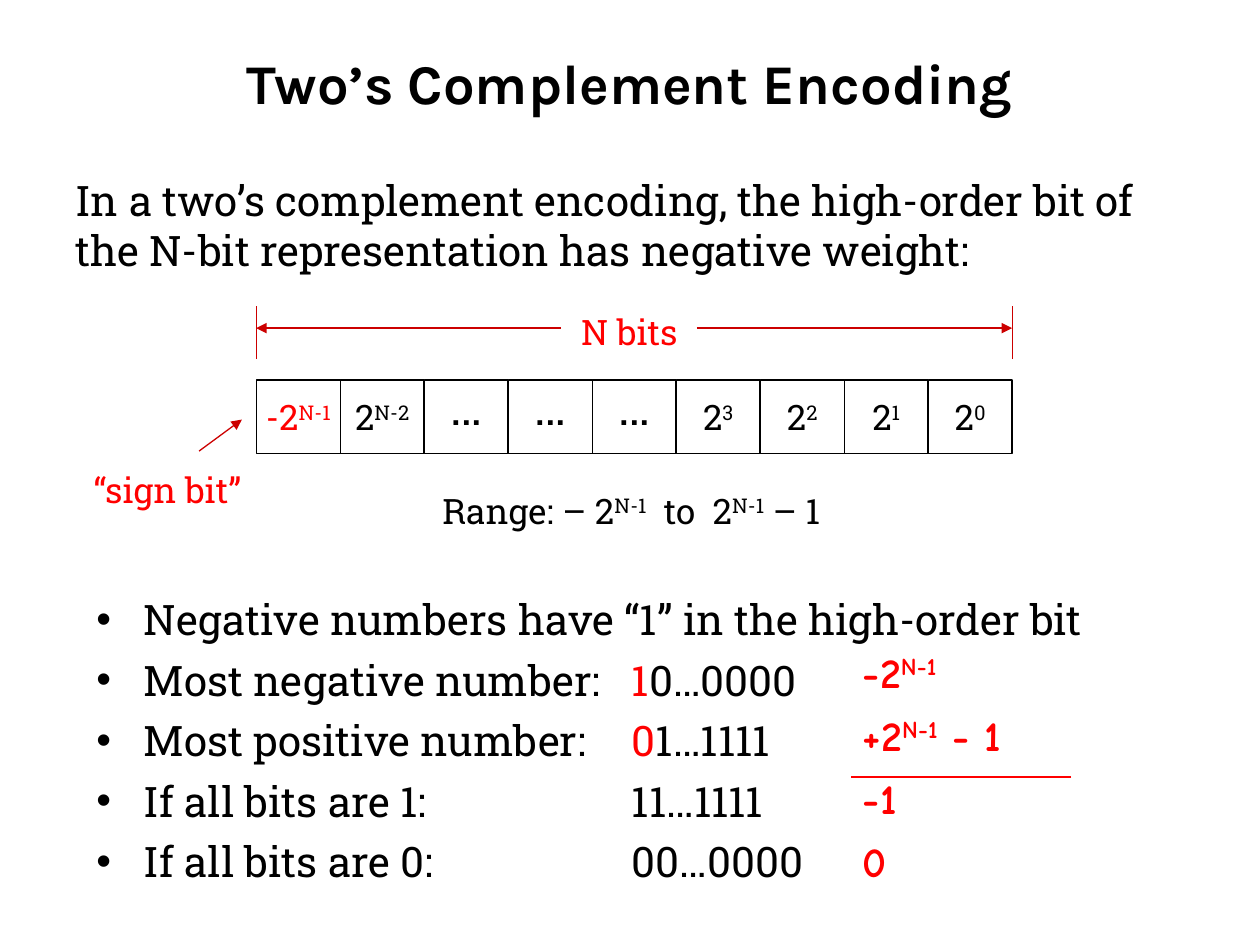
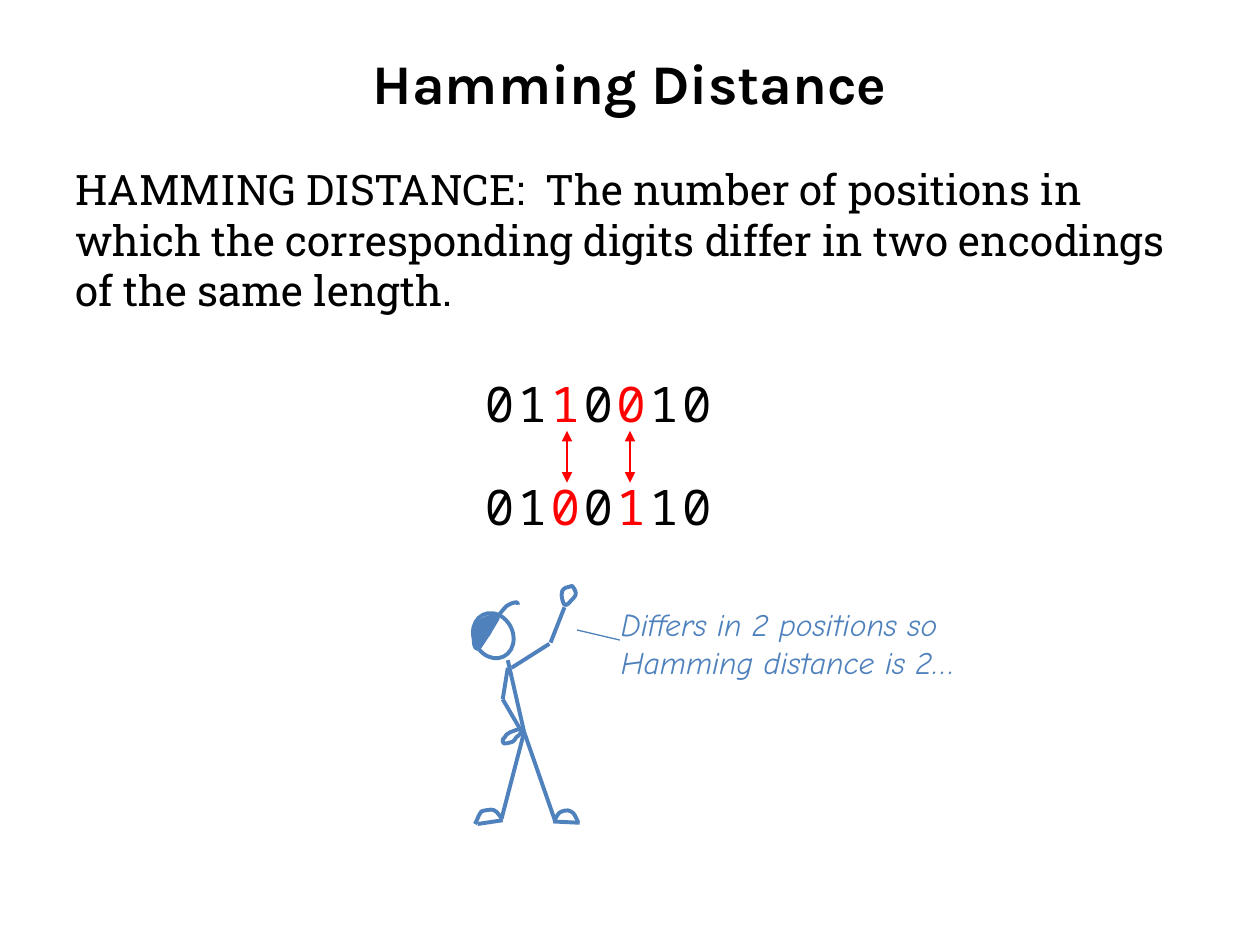
from dataclasses import dataclass
from itertools import groupby
from typing import NamedTuple, Optional

from lxml.etree import SubElement
from pptx import Presentation
from pptx.dml.color import RGBColor
from pptx.enum.shapes import MSO_CONNECTOR as Connector, MSO_SHAPE as Shape
from pptx.enum.text import MSO_ANCHOR as Anchor, MSO_AUTO_SIZE as AutoSize, PP_ALIGN as Align
from pptx.oxml.ns import qn
from pptx.util import Inches, Pt


@dataclass(frozen=True)
class TextStyle:
    font: str
    size: float
    color: str
    bold: bool = False
    italic: bool = False
    spacing: float = 0


@dataclass(frozen=True)
class Theme:
    ink: str = "000000"
    accent: str = "FF0000"
    measure: str = "CC0000"
    figure: str = "4F81BD"
    thin: float = 0.75
    thick: float = 2.25
    title = TextStyle("Karla", 32, ink, bold=True)
    body = TextStyle("Roboto Slab", 24, ink)
    label = TextStyle("Roboto Slab", 20, ink)
    label_accent = TextStyle("Roboto Slab", 20, accent)
    ellipsis = TextStyle("Roboto Slab", 48, ink)
    value = TextStyle("Comic Neue", 24, accent, bold=True)
    code = TextStyle("Noto Sans Mono", 28, ink, spacing=2)
    speech = TextStyle("Comic Neue", 18, figure, italic=True)


THEME = Theme()


class Run(NamedTuple):
    text: str
    raised: bool = False
    color: Optional[str] = None


class Box(NamedTuple):
    left: float
    top: float
    width: float
    height: float

    def emu(self) -> list:
        return [Inches(length) for length in self]


class Line(NamedTuple):
    x1: float
    y1: float
    x2: float
    y2: float
    head: bool = False
    tail: bool = False


class Cell(NamedTuple):
    runs: list
    style: TextStyle


class Value(NamedTuple):
    runs: list
    width: float


class Outline(NamedTuple):
    """A start point followed by Bezier curves of three points each."""
    start: tuple
    curves: list
    closed: bool = False
    filled: bool = False


def power(base: str, exponent: str) -> list:
    return [Run(base), Run(exponent, raised=True)]


def add_runs(paragraph, runs: list, style: TextStyle) -> None:
    for piece in runs:
        run = paragraph.add_run()
        run.text = piece.text
        formats = {"name": style.font, "size": Pt(style.size), "bold": style.bold, "italic": style.italic}
        for name, value in formats.items():
            setattr(run.font, name, value)
        run.font.color.rgb = RGBColor.from_string(piece.color or style.color)
        properties = run.font._element
        if piece.raised:
            properties.set("baseline", "30000")
        if style.spacing:
            properties.set("spc", str(int(style.spacing * 100)))


def add_text(shapes, box: Box, runs: list, style: TextStyle, align=Align.LEFT,
             wrap: bool = False, anchor=Anchor.TOP, fit=AutoSize.SHAPE_TO_FIT_TEXT):
    frame = shapes.add_textbox(*box.emu()).text_frame
    for name, value in {"word_wrap": wrap, "vertical_anchor": anchor, "auto_size": fit}.items():
        setattr(frame, name, value)
    frame.paragraphs[0].alignment = align
    add_runs(frame.paragraphs[0], runs, style)
    return frame


def set_line(shape, color: str, width: float) -> None:
    shape.line.color.rgb = RGBColor.from_string(color)
    shape.line.width = Pt(width)


def add_line(shapes, line: Line, color: str, width: float = THEME.thin) -> None:
    ends = [Inches(value) for value in (line.x1, line.y1, line.x2, line.y2)]
    connector = shapes.add_connector(Connector.STRAIGHT, *ends)
    set_line(connector, color, width)
    stroke = connector.line._get_or_add_ln()
    for end, shown in (("a:headEnd", line.head), ("a:tailEnd", line.tail)):
        if shown:
            SubElement(stroke, qn(end), type="triangle")
    SubElement(connector._element.spPr, qn("a:effectLst"))


def add_cell(shapes, box: Box, cell: Cell) -> None:
    shape = shapes.add_shape(Shape.RECTANGLE, *box.emu())
    shape.shadow.inherit = False
    shape.fill.background()
    set_line(shape, THEME.ink, THEME.thin)
    frame = shape.text_frame
    frame.word_wrap = False
    frame.vertical_anchor = Anchor.MIDDLE
    frame.paragraphs[0].alignment = Align.CENTER
    add_runs(frame.paragraphs[0], cell.runs, cell.style)


def format_bullet(paragraph, tab: float) -> None:
    paragraph.line_spacing = 1.2
    properties = paragraph._p.get_or_add_pPr()
    indent = Inches(3 / 8)
    properties.set("marL", str(indent))
    properties.set("indent", str(-indent))
    SubElement(properties, qn("a:buFont"), typeface="Arial")
    SubElement(properties, qn("a:buChar"), char="•")
    tabs = SubElement(properties, qn("a:tabLst"))
    SubElement(tabs, qn("a:tab"), pos=str(Inches(tab)), algn="l")


def bend_segments(shape) -> None:
    """Join every three straight segments of a freeform into one Bezier curve."""
    segments = list(shape._element.iter(qn("a:lnTo")))
    for first, second, third in zip(*[iter(segments)] * 3):
        first.tag = qn("a:cubicBezTo")
        for segment in (second, third):
            first.append(segment[0])
            segment.getparent().remove(segment)


def add_outline(shapes, outline: Outline) -> None:
    builder = shapes.build_freeform(*map(Inches, outline.start))
    points = [(Inches(x), Inches(y)) for curve in outline.curves for x, y in curve]
    builder.add_line_segments(points, close=outline.closed)
    shape = builder.convert_to_shape()
    bend_segments(shape)
    shape.shadow.inherit = False
    if outline.filled:
        shape.fill.solid()
        shape.fill.fore_color.rgb = RGBColor.from_string(THEME.figure)
    else:
        shape.fill.background()
    set_line(shape, THEME.figure, THEME.thick)


def add_titled_slide(deck, title: str, intro: str, intro_box: Box):
    shapes = deck.slides.add_slide(deck.slide_layouts[6]).shapes
    add_text(shapes, Box(0.5, 0.3, 9, 0.7), [Run(title)], THEME.title, Align.CENTER,
             wrap=True, anchor=Anchor.MIDDLE, fit=AutoSize.NONE)
    add_text(shapes, intro_box, [Run(intro)], THEME.body, wrap=True)
    return shapes


def build_encoding_slide(deck) -> None:
    shapes = add_titled_slide(
        deck, "Two’s Complement Encoding",
        "In a two’s complement encoding, the high-order bit of the N-bit representation "
        "has negative weight:", Box(0.5, 4 / 3, 9, 0.91))

    weights = [Cell(power("-2", "N-1"), THEME.label_accent), Cell(power("2", "N-2"), THEME.label)]
    weights += [Cell([Run("…", raised=True)], THEME.ellipsis)] * 3
    weights += [Cell(power("2", str(bit)), THEME.label) for bit in (3, 2, 1, 0)]
    cell_width, cell_height = 2 / 3, 7 / 12
    row_left, row_top = 2 + 1 / 30, 3 + 1 / 60
    row_right = row_left + len(weights) * cell_width
    for column, weight in enumerate(weights):
        add_cell(shapes, Box(row_left + column * cell_width, row_top, cell_width, cell_height), weight)

    span_y = 2 + 29 / 48
    for line in (Line(row_left, 2.85, row_left, 2.43), Line(row_right, 2.85, row_right, 2.43),
                 Line(5.53, span_y, row_right, span_y, tail=True),
                 Line(4.45, span_y, row_left, span_y, tail=True),
                 Line(1.58, 3.58, 1.92, 3.33, tail=True)):
        add_line(shapes, line, THEME.measure)

    bit_range = [*power("Range: – 2", "N-1"), *power("  to  2", "N-1"), Run(" – 1")]
    for box, runs, style in (
            (Box(4.49, 2 + 5 / 12, 1.01, 0.44), [Run("N bits")], THEME.label_accent),
            (Box(0.58, 3 + 2 / 3, 1.5, 0.44), [Run("“sign bit”")], THEME.label_accent),
            (Box(3.22, 3 + 5 / 6, 3.58, 0.44), bit_range, THEME.label)):
        add_text(shapes, box, runs, style, Align.CENTER)

    facts = [
        [Run("Negative numbers have “1” in the high-order bit")],
        [Run("Most negative number:\t"), Run("1", color=THEME.accent), Run("0…0000")],
        [Run("Most positive number:\t"), Run("0", color=THEME.accent), Run("1…1111")],
        [Run("If all bits are 1:\t11…1111")],
        [Run("If all bits are 0:\t00…0000")],
    ]
    frame = add_text(shapes, Box(2 / 3, 4 + 7 / 12, 8.45, 2.51), facts[0], THEME.body)
    for fact in facts[1:]:
        add_runs(frame.add_paragraph(), fact, THEME.body)
    for paragraph in frame.paragraphs:
        format_bullet(paragraph, tab=4.25)

    values = [Value(power("-2", "N-1"), 0.92), Value([*power("+2", "N-1"), Run(" - 1")], 1.43),
              Value([Run("-1")], 0.49), Value([Run("0")], 0.41)]
    for row, value in enumerate(values):
        add_text(shapes, Box(6.75, 5.08 + row * 0.5, value.width, 0.5), value.runs, THEME.value)
    rule_y = 6 + 1 / 6
    add_line(shapes, Line(8.5, rule_y, 6.75, rule_y), THEME.accent)


LIMBS = [
    Line(4.03, 5.24, 4.16, 5.81), Line(4.16, 5.81, 4.4, 6.5), Line(4.16, 5.81, 3.98, 6.5),
    Line(4.39, 6.52, 4.6, 6.53), Line(3.99, 6.51, 3.79, 6.54),
    Line(4.06, 5.3, 4.36, 5.11), Line(4.37, 5.1, 4.48, 4.82),
    Line(4.03, 5.3, 3.99, 5.55), Line(3.99, 5.55, 4.13, 5.79),
]
RIGHT_FOOT = Outline((4.59, 6.53), [
    ((4.57, 6.49), (4.56, 6.45), (4.53, 6.44)), ((4.51, 6.42), (4.45, 6.44), (4.44, 6.45)),
    ((4.42, 6.47), (4.4, 6.51), (4.4, 6.52))])
LEFT_FOOT = Outline((3.77, 6.54), [
    ((3.8, 6.48), (3.8, 6.46), (3.82, 6.44)), ((3.85, 6.43), (3.9, 6.42), (3.92, 6.43)),
    ((3.95, 6.44), (3.97, 6.49), (3.99, 6.5))])
RAISED_HAND = Outline((4.48, 4.8), [
    ((4.47, 4.79), (4.45, 4.73), (4.46, 4.7)), ((4.46, 4.68), (4.49, 4.66), (4.51, 4.66)),
    ((4.52, 4.65), (4.53, 4.65), (4.54, 4.65)), ((4.55, 4.66), (4.57, 4.69), (4.57, 4.71)),
    ((4.57, 4.73), (4.55, 4.75), (4.53, 4.77)), ((4.52, 4.78), (4.5, 4.81), (4.48, 4.8))],
    closed=True)
HIP_HAND = Outline((4.15, 5.79), [
    ((4.15, 5.78), (4.1, 5.79), (4.08, 5.8)), ((4.06, 5.8), (4.04, 5.82), (4.02, 5.83)),
    ((4.01, 5.85), (4, 5.86), (3.99, 5.87)), ((3.99, 5.88), (3.99, 5.9), (4, 5.9)),
    ((4.01, 5.9), (4.04, 5.9), (4.06, 5.89)), ((4.07, 5.89), (4.09, 5.87), (4.1, 5.85)),
    ((4.12, 5.84), (4.15, 5.8), (4.15, 5.79))], closed=True)
CAP_BRIM = Outline((3.79, 5.16), [
    ((3.84, 5.08), (3.88, 5), (3.91, 4.95)), ((3.95, 4.89), (3.99, 4.84), (4.02, 4.81)),
    ((4.05, 4.79), (4.08, 4.78), (4.1, 4.78)), ((4.11, 4.78), (4.11, 4.8), (4.11, 4.8))])
CAP = Outline((3.79, 5.15), [
    ((3.76, 5.15), (3.76, 5.09), (3.76, 5.05)), ((3.76, 5.02), (3.78, 4.98), (3.8, 4.95)),
    ((3.82, 4.92), (3.85, 4.91), (3.87, 4.9)), ((3.89, 4.89), (3.91, 4.9), (3.93, 4.9)),
    ((3.94, 4.9), (3.96, 4.89), (3.95, 4.91)), ((3.94, 4.93), (3.9, 4.99), (3.88, 5.03)),
    ((3.85, 5.07), (3.81, 5.14), (3.79, 5.15))], closed=True, filled=True)


def add_stick_figure(shapes) -> None:
    for limb in LIMBS:
        add_line(shapes, limb, THEME.figure, THEME.thick)
    head = shapes.add_shape(Shape.OVAL, *Box(3.76, 4.86, 0.31, 0.37).emu())
    head.shadow.inherit = False
    head.rotation = 333.6
    head.fill.background()
    set_line(head, THEME.figure, THEME.thick)
    for outline in (RIGHT_FOOT, LEFT_FOOT, RAISED_HAND, HIP_HAND, CAP_BRIM, CAP):
        add_outline(shapes, outline)


def build_hamming_slide(deck) -> None:
    shapes = add_titled_slide(
        deck, "Hamming Distance",
        "HAMMING DISTANCE:  The number of positions in which the corresponding digits differ "
        "in two encodings of the same length.", Box(0.5, 1.25, 9, 1.31))

    encodings = ("0110010", "0100110")
    differs = [first != second for first, second in zip(*encodings)]
    for encoding, top in zip(encodings, (2 + 11 / 12, 3.73)):
        runs = [Run("".join(digit for digit, _ in group), color=THEME.accent if changed else None)
                for changed, group in groupby(zip(encoding, differs), key=lambda pair: pair[1])]
        add_text(shapes, Box(3.75, top, 2.03, 0.57), runs, THEME.code)
    for position, changed in enumerate(differs):
        if changed:
            x = 4 + position * 0.25
            add_line(shapes, Line(x, 3.42, x, 3.83, head=True, tail=True), THEME.accent)

    callout = shapes.add_group_shape().shapes
    add_text(callout, Box(4.83, 4.75, 3.08, 0.71),
             [Run("Differs in 2 positions so Hamming distance is 2…")], THEME.speech, wrap=True)
    add_line(callout, Line(4.58, 5, 4.92, 5.08), THEME.figure)
    add_stick_figure(callout)


def main() -> None:
    deck = Presentation()
    deck.slide_width, deck.slide_height = Inches(10), Inches(7.5)
    build_encoding_slide(deck)
    build_hamming_slide(deck)
    deck.save("out.pptx")


if __name__ == "__main__":
    main()
